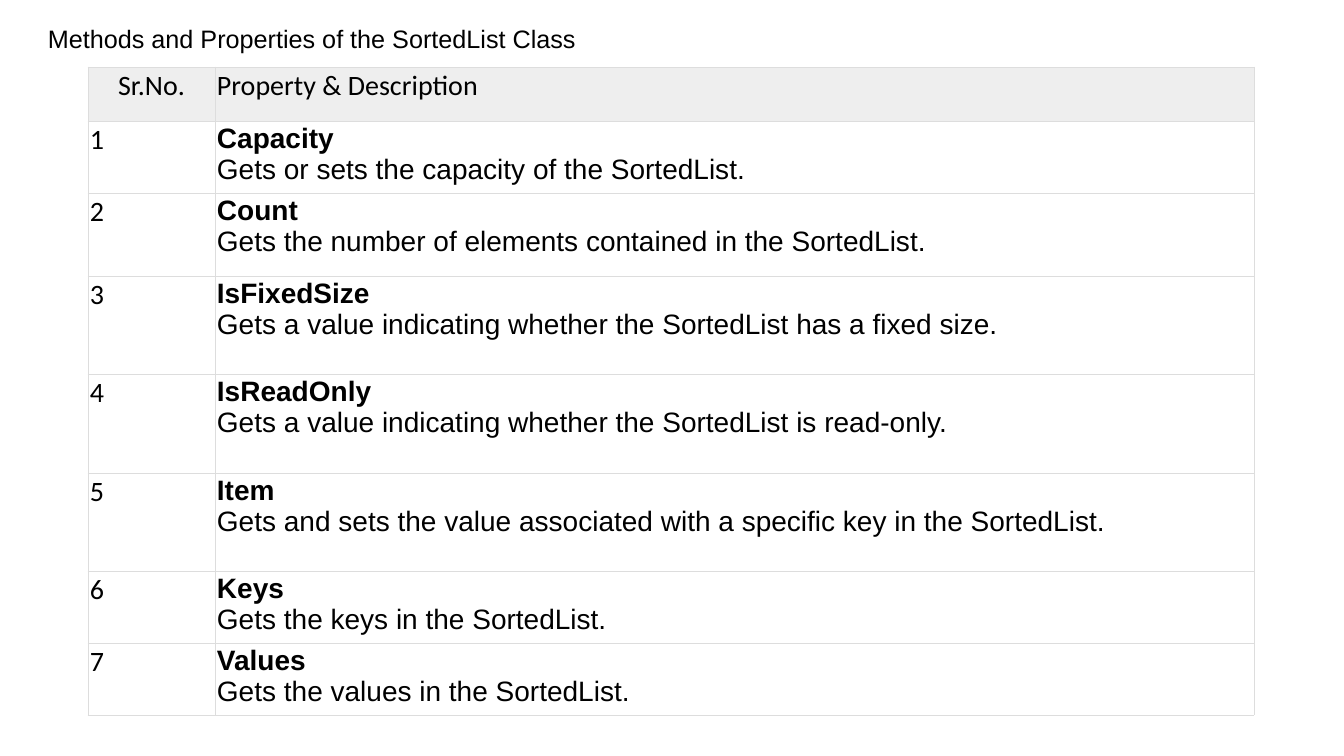
"""Build the slide listing the properties of the SortedList class."""
from dataclasses import dataclass

from lxml.etree import SubElement, Element
from pptx import Presentation
from pptx.dml.color import RGBColor
from pptx.enum.text import MSO_ANCHOR as Anchor, PP_ALIGN as Align
from pptx.oxml.ns import qn
from pptx.util import Emu, Pt

TITLE = "Methods and Properties of the SortedList Class"
HEADER = ("Sr.No.", "Property & Description")
PROPERTIES = [
    ("Capacity", "Gets or sets the capacity of the SortedList."),
    ("Count", "Gets the number of elements contained in the SortedList."),
    ("IsFixedSize", "Gets a value indicating whether the SortedList has a fixed size."),
    ("IsReadOnly", "Gets a value indicating whether the SortedList is read-only."),
    ("Item", "Gets and sets the value associated with a specific key in the SortedList."),
    ("Keys", "Gets the keys in the SortedList."),
    ("Values", "Gets the values in the SortedList."),
]
SLIDE_SIZE = (1344, 756)
TITLE_BOX = (38, 18, 672, 40)
TABLE_ORIGIN = (88, 67)
COLUMN_WIDTHS = (127, 1039)
ROW_HEIGHTS = (54, 72, 83, 98, 99, 98, 72, 72)
CELL_MARGIN = 2


@dataclass(frozen=True)
class Theme:
    text: str = "000000"
    header_fill: str = "EEEEEE"
    border: str = "DDDDDD"
    border_width: float = 0.5
    title_size: int = 18
    table_size: int = 20
    label_font: str = "Calibri"
    body_font: str = "Arial"


THEME = Theme()


def px(length):
    return Emu(round(length * 914400 / 100.8))


def style_paragraph(paragraph, font_name, size, bold=False, align=Align.LEFT):
    paragraph.alignment = align
    for run in paragraph.runs:
        run.font.name = font_name
        run.font.size = Pt(size)
        run.font.bold = bold
        run.font.color.rgb = RGBColor.from_string(THEME.text)


def add_borders(cell):
    properties = cell._tc.get_or_add_tcPr()
    for index, side in enumerate(("a:lnL", "a:lnR", "a:lnT", "a:lnB")):
        line = Element(qn(side), w=str(Pt(THEME.border_width)))
        fill = SubElement(line, qn("a:solidFill"))
        SubElement(fill, qn("a:srgbClr"), val=THEME.border)
        properties.insert(index, line)


def fill_cell(cell, text, font_name, align, is_header):
    cell.margin_left = cell.margin_right = px(CELL_MARGIN)
    cell.margin_top = cell.margin_bottom = px(CELL_MARGIN)
    cell.vertical_anchor = Anchor.TOP
    if is_header:
        cell.fill.solid()
        cell.fill.fore_color.rgb = RGBColor.from_string(THEME.header_fill)
    else:
        cell.fill.background()
    add_borders(cell)
    cell.text_frame.text = text
    paragraphs = cell.text_frame.paragraphs
    for index, paragraph in enumerate(paragraphs):
        bold = len(paragraphs) > 1 and index == 0
        style_paragraph(paragraph, font_name, THEME.table_size, bold, align)


def add_title(slide):
    frame = slide.shapes.add_textbox(*map(px, TITLE_BOX)).text_frame
    frame.word_wrap = True
    frame.text = TITLE
    style_paragraph(frame.paragraphs[0], THEME.body_font, THEME.title_size)


def add_property_table(slide):
    size = (sum(COLUMN_WIDTHS), sum(ROW_HEIGHTS))
    table = slide.shapes.add_table(
        len(ROW_HEIGHTS), len(COLUMN_WIDTHS), *map(px, TABLE_ORIGIN + size)).table
    table.horz_banding = False
    for column, width in zip(table.columns, COLUMN_WIDTHS):
        column.width = px(width)
    for row, height in zip(table.rows, ROW_HEIGHTS):
        row.height = px(height)
    fill_cell(table.cell(0, 0), HEADER[0], THEME.label_font, Align.CENTER, True)
    fill_cell(table.cell(0, 1), HEADER[1], THEME.label_font, Align.LEFT, True)
    for number, lines in enumerate(PROPERTIES, start=1):
        fill_cell(table.cell(number, 0), str(number), THEME.label_font, Align.LEFT, False)
        fill_cell(table.cell(number, 1), "\n".join(lines), THEME.body_font, Align.JUSTIFY, False)


def main():
    presentation = Presentation()
    presentation.slide_width, presentation.slide_height = map(px, SLIDE_SIZE)
    slide = presentation.slides.add_slide(presentation.slide_layouts[6])
    add_title(slide)
    add_property_table(slide)
    presentation.save("out.pptx")


if __name__ == "__main__":
    main()
